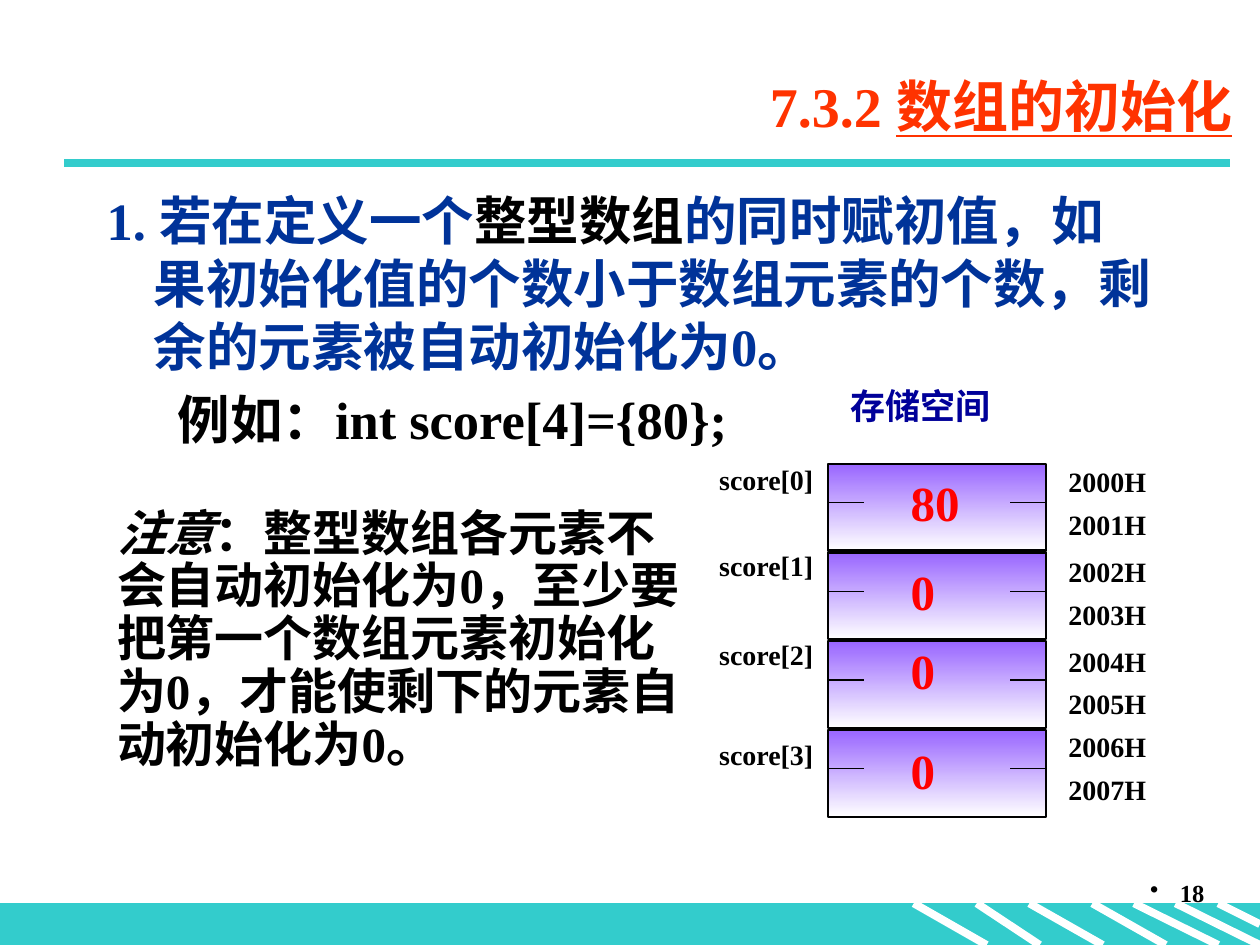
from lxml import etree
from pptx import Presentation
from pptx import util as u
from pptx.dml import color
from pptx.enum import shapes, text
from pptx.oxml import ns

FONT = "Times New Roman"
TEAL = color.RGBColor(0x33, 0xCC, 0xCC)
WHITE = color.RGBColor(0xFF, 0xFF, 0xFF)
BLACK = color.RGBColor(0, 0, 0)
ORANGE = color.RGBColor(0xFF, 0x33, 0)
BLUE = color.RGBColor(0, 0x33, 0x99)
NAVY = color.RGBColor(0, 0, 0x99)
RED = color.RGBColor(0xFF, 0, 0)
VIOLET = color.RGBColor(0x99, 0x66, 0xFF)


def add_run(paragraph, words, size, colour=BLACK, italic=False, underline=False):
    """Append one bold run to a paragraph."""
    run = paragraph.add_run()
    run.text = words
    font = run.font
    font.name, font.size, font.bold = FONT, u.Pt(size), True
    font.italic, font.underline = italic, underline
    font.color.rgb = colour


def add_text_box(slide, left, top, width, height, inset=True):
    """Add a wrapping text box and return its text frame."""
    shape = slide.shapes.add_textbox(u.Cm(left), u.Cm(top), u.Cm(width), u.Cm(height))
    frame = shape.text_frame
    frame.word_wrap = True
    if not inset:
        frame.margin_left = frame.margin_right = 0
        frame.margin_top = frame.margin_bottom = 0
    return frame


def add_label(slide, left, top, width, height, words, size, colour=BLACK, inset=True):
    """Add a text box holding one tightly spaced run."""
    paragraph = add_text_box(slide, left, top, width, height, inset).paragraphs[0]
    paragraph.line_spacing = 0.9
    add_run(paragraph, words, size, colour)


def add_line(slide, left, top, right, bottom, colour, width):
    """Add a straight line without a shadow."""
    line = slide.shapes.add_connector(
        shapes.MSO_CONNECTOR.STRAIGHT, u.Cm(left), u.Cm(top), u.Cm(right), u.Cm(bottom))
    line.line.color.rgb = colour
    line.line.width = u.Pt(width)
    etree.SubElement(line._element.spPr, ns.qn("a:effectLst"))


def add_rectangle(slide, left, top, width, height, line_colour, line_width):
    """Add an outlined rectangle without a shadow."""
    shape = slide.shapes.add_shape(
        shapes.MSO_SHAPE.RECTANGLE, u.Cm(left), u.Cm(top), u.Cm(width), u.Cm(height))
    shape.shadow.inherit = False
    shape.line.color.rgb = line_colour
    shape.line.width = u.Pt(line_width)
    return shape


def indent(paragraph, margin, first):
    """Set the left margin and first-line indent of a paragraph."""
    properties = paragraph._p.get_or_add_pPr()
    properties.set("marL", str(u.Cm(margin)))
    properties.set("indent", str(u.Cm(first)))
    return properties


def build_footer(slide, left, top, width, height):
    """Draw the striped band and the bulleted slide number above it."""
    band = add_rectangle(slide, left, top, width, height, TEAL, 0.75)
    band.fill.solid()
    band.fill.fore_color.rgb = TEAL
    stripes = [(18.42, 19.89), (19.69, 20.96), (20.75, 22.23), (22.02, 23.5),
               (22.86, 24.56), (23.7, 25.4)]
    for start, end in stripes:
        add_line(slide, left + start, top, left + end, top + height, WHITE, 4.5)
    add_line(slide, left + 24.56, top, left + width, top + height / 2, WHITE, 4.5)

    paragraph = add_text_box(slide, left + 19.25, top - 0.63, 5.28, 1.27).paragraphs[0]
    properties = indent(paragraph, 0.6, -0.6)
    etree.SubElement(properties, ns.qn("a:buChar")).set("char", "•")
    paragraph.alignment = text.PP_ALIGN.RIGHT
    add_run(paragraph, "18", 14)


def build_title(slide, left, top, width, height):
    """Place the right-aligned title and the rule below it."""
    title = slide.shapes.title
    title.left, title.top = u.Cm(left), u.Cm(top)
    title.width, title.height = u.Cm(width), u.Cm(height)
    frame = title.text_frame
    frame.vertical_anchor = text.MSO_ANCHOR.MIDDLE
    paragraph = frame.paragraphs[0]
    paragraph.alignment = text.PP_ALIGN.RIGHT
    add_run(paragraph, "7.3.2 ", 32, ORANGE)
    add_run(paragraph, "数组的初始化", 32, ORANGE, underline=True)
    add_line(slide, 1.3, top + 2.16, 24.79, top + 2.16, TEAL, 4.5)


def build_rule_text(slide, left, top, width, height):
    """Write the initialisation rule and its example."""
    frame = add_text_box(slide, left, top, width, height)
    rule = frame.paragraphs[0]
    indent(rule, 0.95, -0.95)
    add_run(rule, "1. 若在定义一个", 30, BLUE)
    add_run(rule, "整型数组", 30)
    add_run(rule, "的同时赋初值，如果初始化值的个数小于数组元素的个数，"
                  "剩余的元素被自动初始化为0。", 30, BLUE)
    example = frame.add_paragraph()
    indent(example, 1.43, 0)
    example.space_before = u.Pt(6)
    add_run(example, "例如：int score[4]={80};", 30)


def build_note(slide, left, top, width, height):
    """Write the warning about automatic initialisation."""
    paragraph = add_text_box(slide, left, top, width, height).paragraphs[0]
    paragraph.line_spacing = 0.9
    add_run(paragraph, "注意", 28, italic=True)
    add_run(paragraph, "：整型数组各元素不会自动初始化为0，至少要把第一个数组元素初始化为0，"
                       "才能使剩下的元素自动初始化为0。", 28)


def build_cell(slide, left, top, width, height):
    """Draw one array cell with a byte mark on each side."""
    cell = add_rectangle(slide, left, top, width, height, BLACK, 1.25)
    cell.fill.gradient()
    cell.fill.gradient_angle = 270
    for stop, position, colour in zip(cell.fill.gradient_stops, (0, 1), (VIOLET, WHITE)):
        stop.position = position
        stop.color.rgb = colour
    mark, middle = 0.72, top + 0.78
    for start in (left, left + width - mark):
        add_line(slide, start, middle, start + mark, middle, BLACK, 0.75)


def build_memory(slide, left, top):
    """Draw the memory cells with their names, values and addresses."""
    add_label(slide, left + 2.39, top, 5.99, 1.09, "存储空间", 20, NAVY)
    rows = [("80", 1.68, 1.81), ("0", 3.41, 3.61), ("0", 5.21, 5.21), ("0", 7.22, 7.22)]
    for index, (value, name_top, value_top) in enumerate(rows):
        build_cell(slide, left + 2.2, top + 1.63 + 1.79 * index, 4.39, 1.75)
        add_label(slide, left, top + name_top, 2.1, 0.69, f"score[{index}]", 16, inset=False)
        add_label(slide, left + 3.61, top + value_top, 2.21, 1.45, value, 28, RED)
    address_tops = [1.73, 2.59, 3.53, 4.4, 5.36, 6.2, 7.06, 7.93]
    for address, address_top in enumerate(address_tops, 2000):
        add_label(slide, left + 7.04, top + address_top, 2.1, 0.69, f"{address}H", 16, inset=False)


def main():
    """Build the slide and save the presentation."""
    presentation = Presentation()
    presentation.slide_width, presentation.slide_height = u.Cm(25.4), u.Cm(19.05)
    slide = presentation.slides.add_slide(presentation.slide_layouts[5])
    build_footer(slide, 0, 18.21, 25.4, 0.84)
    build_title(slide, 3.51, 1.12, 21.59, 2)
    build_rule_text(slide, 1.9, 3.66, 21.59, 6)
    build_memory(slide, 14.5, 7.72)
    build_note(slide, 2.11, 10.13, 11.99, 6.2)
    presentation.save("out.pptx")


if __name__ == "__main__":
    main()
